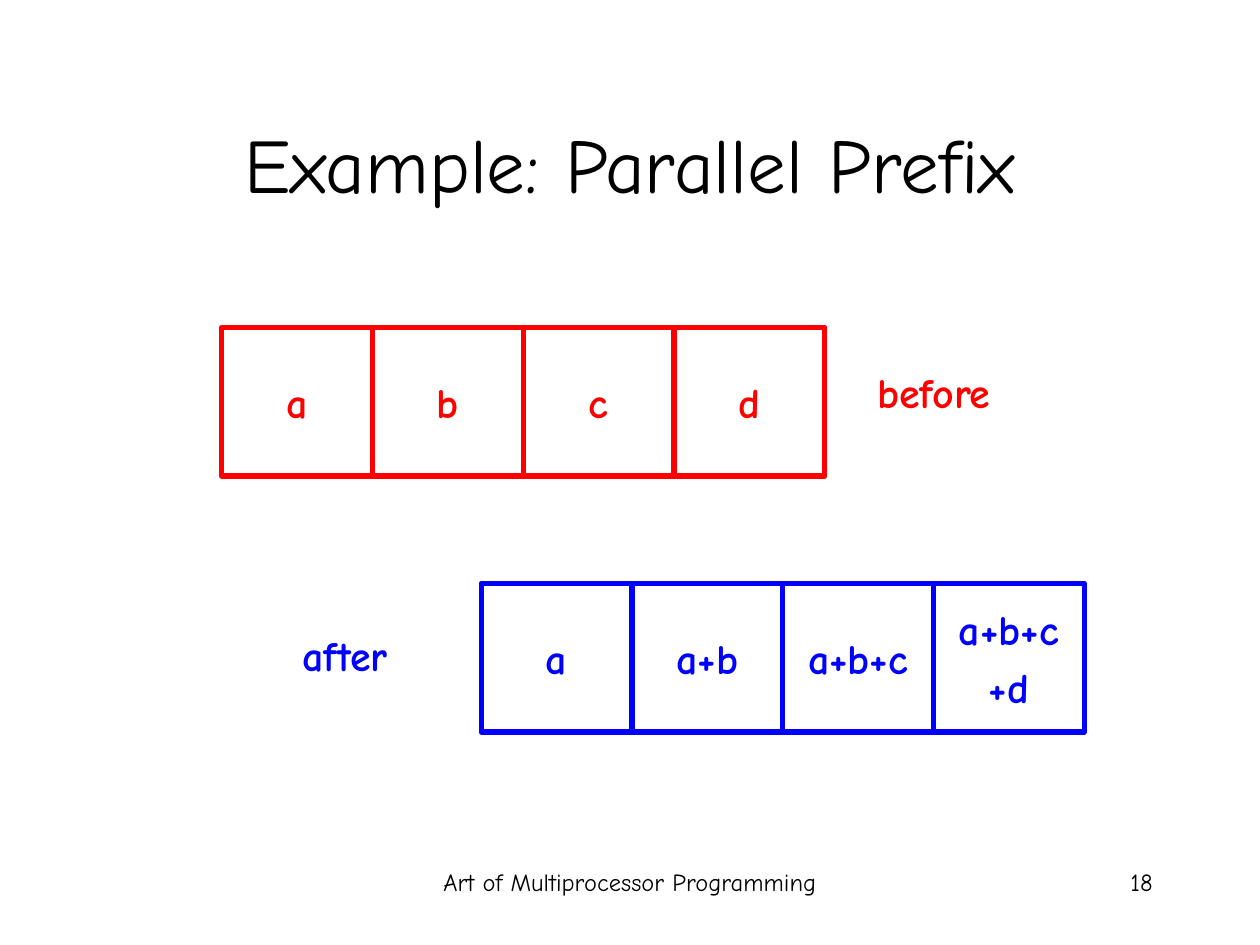
from dataclasses import dataclass

import pptx
import pptx.dml.color
import pptx.enum.shapes
import pptx.enum.text
import pptx.util

Cm = pptx.util.Cm
Pt = pptx.util.Pt
ALIGN = pptx.enum.text.PP_ALIGN
ANCHOR = pptx.enum.text.MSO_ANCHOR

FONT = "Comic Neue"
COLORS = {"text": "000000", "before": "FF0000", "after": "0000FF"}
CELL_W, CELL_H = 3.04, 3.0


@dataclass
class Label:
    text: str
    left: float
    top: float
    width: float
    height: float
    size: int
    color: str = "text"
    align: ALIGN = ALIGN.CENTER
    anchor: ANCHOR = ANCHOR.TOP
    bold: bool = False
    wrap: bool = True


@dataclass
class Row:
    left: float
    top: float
    color: str
    cells: list[str]


def rgb(name: str) -> pptx.dml.color.RGBColor:
    return pptx.dml.color.RGBColor.from_string(COLORS[name])


def write(sp, label: Label) -> None:
    tf = sp.text_frame
    tf.word_wrap = label.wrap
    tf.vertical_anchor = label.anchor
    for i, line in enumerate(label.text.split("\n")):
        p = tf.add_paragraph() if i else tf.paragraphs[0]
        p.alignment = label.align
        if i:
            p.space_before = Pt(4.8)
        r = p.add_run()
        r.text = line
        r.font.name = FONT
        r.font.size = Pt(label.size)
        r.font.bold = label.bold
        r.font.color.rgb = rgb(label.color)


def draw_label(s, label: Label) -> None:
    sp = s.shapes.add_textbox(
        Cm(label.left), Cm(label.top), Cm(label.width), Cm(label.height))
    write(sp, label)


def draw_row(s, row: Row) -> None:
    for i, text in enumerate(row.cells):
        cell = Label(text, row.left + i * CELL_W, row.top, CELL_W, CELL_H, 24,
                     row.color, anchor=ANCHOR.MIDDLE, bold=True, wrap=False)
        sp = s.shapes.add_shape(
            pptx.enum.shapes.MSO_SHAPE.RECTANGLE,
            Cm(cell.left), Cm(cell.top), Cm(cell.width), Cm(cell.height))
        sp.shadow.inherit = False
        sp.fill.background()
        sp.line.color.rgb = rgb(row.color)
        sp.line.width = Pt(3)
        write(sp, cell)


LABELS = [
    Label("Art of Multiprocessor Programming", 8.69, 17.35, 8.05, 1.27, 14,
          align=ALIGN.LEFT),
    Label("18", 18.21, 17.35, 5.28, 1.27, 14, align=ALIGN.RIGHT),
    Label("Example: Parallel Prefix", 1.9, 1.7, 21.6, 3.18, 44,
          anchor=ANCHOR.MIDDLE),
    Label("before", 17.2, 7.26, 3.25, 1.27, 24, "before", bold=True, wrap=False),
    Label("after", 5.61, 12.57, 2.69, 1.27, 24, "after", bold=True, wrap=False),
]
ROWS = [
    Row(4.47, 6.6, "before", ["a", "b", "c", "d"]),
    Row(9.7, 11.76, "after", ["a", "a+b", "a+b+c", "a+b+c\n+d"]),
]


def main() -> None:
    prs = pptx.Presentation()
    prs.slide_width, prs.slide_height = Cm(25.4), Cm(19.05)
    s = prs.slides.add_slide(prs.slide_layouts[6])
    for row in ROWS:
        draw_row(s, row)
    for label in LABELS:
        draw_label(s, label)
    prs.save("out.pptx")


if __name__ == "__main__":
    main()
